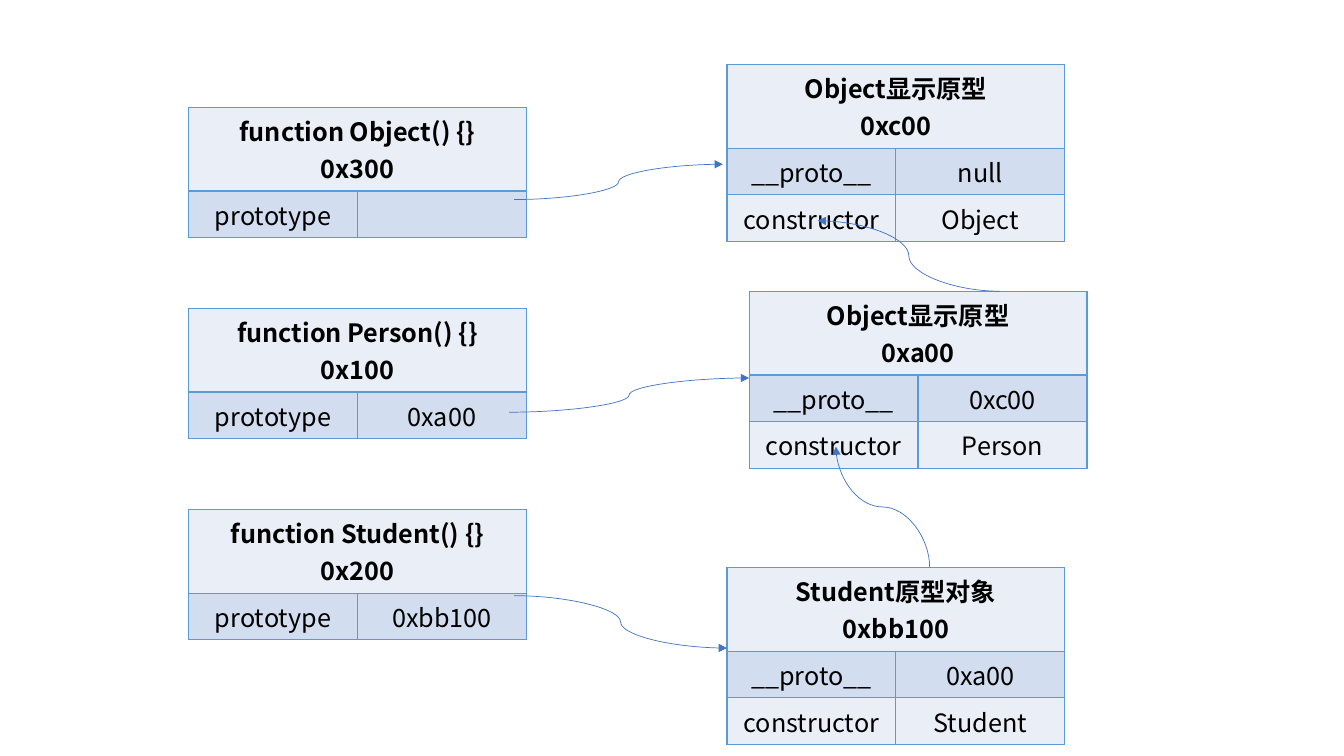
"""Builds a slide of JavaScript constructors and their prototype objects."""
from lxml.etree import SubElement
from pptx import Presentation
from pptx.dml.color import RGBColor
from pptx.enum.shapes import MSO_CONNECTOR
from pptx.enum.text import PP_ALIGN
from pptx.oxml import parse_xml
from pptx.oxml.ns import nsdecls, qn
from pptx.util import Inches, Pt

WIDTH, HEIGHT = Inches(13.33), Inches(7.5)
FONT = "Noto Sans CJK SC"
BLACK = RGBColor(0, 0, 0)
PALE = RGBColor(0xEA, 0xEF, 0xF7)
BAND = RGBColor(0xD2, 0xDE, 0xEF)
BORDER = RGBColor(0x5B, 0x9B, 0xD5)
ARROW = RGBColor(0x44, 0x72, 0xC4)

COL_W, HEADER_H, ROW_H = 12.57, 11.07, 6.13
LEFT_X, LEFT_TOP, LEFT_STEP = 14.03, 14.2, 26.6
RIGHT_X, INDENTED_X = 54.09, 55.74

CONSTRUCTORS = [
    ("Object", "0x300", ""),
    ("Person", "0x100", "0xa00"),
    ("Student", "0x200", "0xbb100"),
]
PROTOTYPES = [
    (RIGHT_X, 8.53, "Object显示原型", "0xc00", "null", "Object"),
    (INDENTED_X, 38.53, "Object显示原型", "0xa00", "0xc00", "Person"),
    (RIGHT_X, 75.07, "Student原型对象", "0xbb100", "0xa00", "Student"),
]
ARROWS = [
    ((38.26, 26.4), (53.79, 21.73), False),
    ((37.88, 54.53), (INDENTED_X, 50), False),
    ((38.26, 78.8), (RIGHT_X, 85.73), False),
    ((69.17, 75.07), (62.19, 59.07), True),
    ((74.42, 38.53), (60.84, 29.2), False),
]


def across(share):
    """Turn a percentage of the slide width into a length."""
    return round(WIDTH * share / 100)


def down(share):
    """Turn a percentage of the slide height into a length."""
    return round(HEIGHT * share / 100)


def set_border(cell):
    """Draw a thin line on all four sides of a cell."""
    tcPr = cell._tc.get_or_add_tcPr()
    for i, side in enumerate(("lnL", "lnR", "lnT", "lnB")):
        tcPr.insert(i, parse_xml(
            f'<a:{side} {nsdecls("a")} w="{Pt(1)}"><a:solidFill>'
            f'<a:srgbClr val="{BORDER}"/></a:solidFill></a:{side}>'))


def fill_cell(cell, lines, fill, bold=False):
    """Give a cell its background, border and centred lines of text."""
    cell.fill.solid()
    cell.fill.fore_color.rgb = fill
    set_border(cell)
    tf = cell.text_frame
    tf.text = "\n".join(lines)
    for p in tf.paragraphs:
        p.alignment = PP_ALIGN.CENTER
        for r in p.runs:
            for name, value in {"name": FONT, "size": Pt(18), "bold": bold}.items():
                setattr(r.font, name, value)
            r.font.color.rgb = BLACK
            SubElement(r.font._element, qn("a:ea"), typeface=FONT)


def add_object_table(s, x, y, title, rows):
    """Add a table with a merged two-line title above name and value rows."""
    frame = s.shapes.add_table(len(rows) + 1, 2, across(x), down(y), across(2 * COL_W),
                               down(HEADER_H + ROW_H * len(rows)))
    table = frame.table
    for flag in ("first_row", "horz_banding"):
        setattr(table, flag, False)
    for col in table.columns:
        col.width = across(COL_W)
    for i, row in enumerate(table.rows):
        row.height = down(ROW_H if i else HEADER_H)
    table.cell(0, 0).merge(table.cell(0, 1))
    fill_cell(table.cell(0, 0), title, PALE, True)
    set_border(table.cell(0, 1))
    for i, row in enumerate(rows, 1):
        for j, text in enumerate(row):
            fill_cell(table.cell(i, j), [text], BAND if i % 2 else PALE)


def add_curved_arrow(s, start, end, upright):
    """Add a curved arrow, turned a quarter when it leaves vertically."""
    x1, y1, x2, y2 = across(start[0]), down(start[1]), across(end[0]), down(end[1])
    if upright:
        cx, cy = (x1 + x2) // 2, (y1 + y2) // 2
        x1, y1, x2, y2 = cx - y1 + cy, cy + x1 - cx, cx - y2 + cy, cy + x2 - cx
    c = s.shapes.add_connector(MSO_CONNECTOR.CURVE, x1, y1, x2, y2)
    c.line.color.rgb = ARROW
    c.line.width = Pt(0.5)
    spPr = c._element.spPr
    if upright:
        spPr.find(qn("a:xfrm")).set("rot", str(270 * 60000))
    SubElement(spPr.find(qn("a:ln")), qn("a:tailEnd"), type="triangle")
    SubElement(spPr, qn("a:effectLst"))


def main():
    """Build the slide and save it."""
    prs = Presentation()
    prs.slide_width, prs.slide_height = WIDTH, HEIGHT
    s = prs.slides.add_slide(prs.slide_layouts[6])
    for i, (name, address, prototype) in enumerate(CONSTRUCTORS):
        add_object_table(s, LEFT_X, LEFT_TOP + LEFT_STEP * i,
                         [f"function {name}() {{}}", address], [("prototype", prototype)])
    for x, y, title, address, proto, constructor in PROTOTYPES:
        add_object_table(s, x, y, [title, address],
                         [("__proto__", proto), ("constructor", constructor)])
    for start, end, upright in ARROWS:
        add_curved_arrow(s, start, end, upright)
    prs.save("out.pptx")


main()
